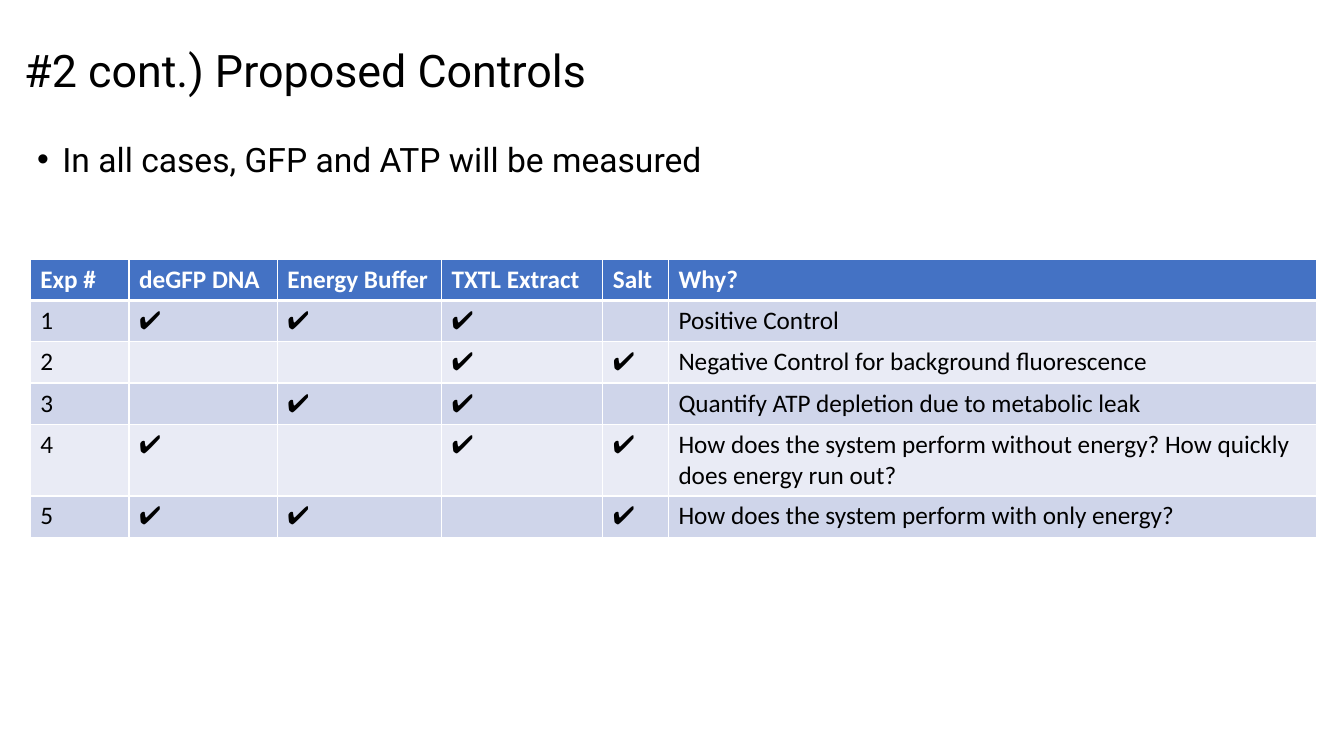
from lxml import etree
from pptx import Presentation, util as u
from pptx.dml.color import RGBColor
from pptx.enum import text
from pptx.oxml import ns

PX = 9144  # EMU per px, 100 px to the inch
COLORS = {"ink": "000000", "paper": "FFFFFF", "header": "4472C4",
          "odd": "CFD5EA", "even": "E9EBF5"}
TITLE = {"name": "Roboto", "size": u.Pt(32), "bold": False}
BODY = {"name": "Roboto", "size": u.Pt(24)}
HEADER = {"name": "Calibri", "size": u.Pt(18), "bold": True}
ENTRY = {"name": "Calibri", "size": u.Pt(18), "bold": False}

COLUMNS = {"Exp #": 98, "deGFP DNA": 147, "Energy Buffer": 163,
           "TXTL Extract": 160, "Salt": 65, "Why?": 643}
ROW_HEIGHT = 41
CHECK = "✔️"
# Reagents present (DNA, buffer, extract, salt) and the reason for each experiment
EXPERIMENTS = [
    ((1, 1, 1, 0), "Positive Control"),
    ((0, 0, 1, 1), "Negative Control for background fluorescence"),
    ((0, 1, 1, 0), "Quantify ATP depletion due to metabolic leak"),
    ((1, 0, 1, 1), "How does the system perform without energy? "
                   "How quickly does energy run out?"),
    ((1, 1, 0, 1), "How does the system perform with only energy?"),
]


def px(*lengths):
    return [u.Emu(length * PX) for length in lengths]


def write(paragraph, words, style, color):
    run = paragraph.add_run()
    run.text = words
    for key, value in style.items():
        setattr(run.font, key, value)
    run.font.color.rgb = RGBColor.from_string(COLORS[color])


def set_frame(frame, anchor):
    """Wrap the text at a fixed size and return the first paragraph."""
    frame.word_wrap = True
    frame.auto_size = text.MSO_AUTO_SIZE.NONE
    frame.vertical_anchor = anchor
    paragraph = frame.paragraphs[0]
    paragraph.alignment = text.PP_ALIGN.LEFT
    paragraph.line_spacing = 0.9
    return paragraph


def place_title(slide, box, words):
    title = slide.shapes.title
    title.left, title.top, title.width, title.height = px(*box)
    write(set_frame(title.text_frame, text.MSO_ANCHOR.MIDDLE), words, TITLE, "ink")


def place_bullet(slide, box, words):
    body = slide.shapes.add_textbox(*px(*box))
    paragraph = set_frame(body.text_frame, text.MSO_ANCHOR.TOP)
    properties = paragraph._p.get_or_add_pPr()
    indent = px(25)[0]
    properties.set("marL", str(indent))
    properties.set("indent", str(-indent))
    etree.SubElement(properties, ns.qn("a:buFont"), typeface="Arial")
    etree.SubElement(properties, ns.qn("a:buChar"), char="•")
    write(paragraph, words, BODY, "ink")


def add_borders(cell, bottom, top):
    """Draw white borders, with the top and bottom widths in points."""
    properties = cell._tc.get_or_add_tcPr()
    widths = {"lnL": 1, "lnR": 1, "lnT": top, "lnB": bottom}
    for index, (side, width) in enumerate(widths.items()):
        line = etree.Element(ns.qn(f"a:{side}"), w=str(u.Pt(width)))
        fill = etree.SubElement(line, ns.qn("a:solidFill"))
        etree.SubElement(fill, ns.qn("a:srgbClr"), val=COLORS["paper"])
        properties.insert(index, line)


def place_controls(slide, left, top):
    rows = [list(COLUMNS)]
    for number, (reagents, reason) in enumerate(EXPERIMENTS, 1):
        marks = [CHECK if present else "" for present in reagents]
        rows.append([str(number), *marks, reason])
    box = (left, top, sum(COLUMNS.values()), ROW_HEIGHT * len(rows))
    table = slide.shapes.add_table(len(rows), len(COLUMNS), *px(*box)).table
    for column, width in zip(table.columns, px(*COLUMNS.values())):
        column.width = width
    for r, entries in enumerate(rows):
        table.rows[r].height = px(ROW_HEIGHT)[0]
        band = "header" if r == 0 else "odd" if r % 2 else "even"
        style, color = (HEADER, "paper") if r == 0 else (ENTRY, "ink")
        for c, words in enumerate(entries):
            cell = table.cell(r, c)
            cell.fill.solid()
            cell.fill.fore_color.rgb = RGBColor.from_string(COLORS[band])
            add_borders(cell, bottom=3 if r == 0 else 1, top=3 if r == 1 else 1)
            if words:
                write(cell.text_frame.paragraphs[0], words, style, color)
            else:
                cell.text_frame.paragraphs[0].font.size = style["size"]


def main():
    deck = Presentation()
    deck.slide_width, deck.slide_height = px(1333, 750)
    slide = deck.slides.add_slide(deck.slide_layouts.get_by_name("Title Only"))
    place_title(slide, (14, 0, 1150, 145), "#2 cont.) Proposed Controls")
    place_bullet(slide, (27, 137, 1150, 476),
                 "In all cases, GFP and ATP will be measured")
    place_controls(slide, 30, 257)
    deck.save("out.pptx")


if __name__ == "__main__":
    main()
